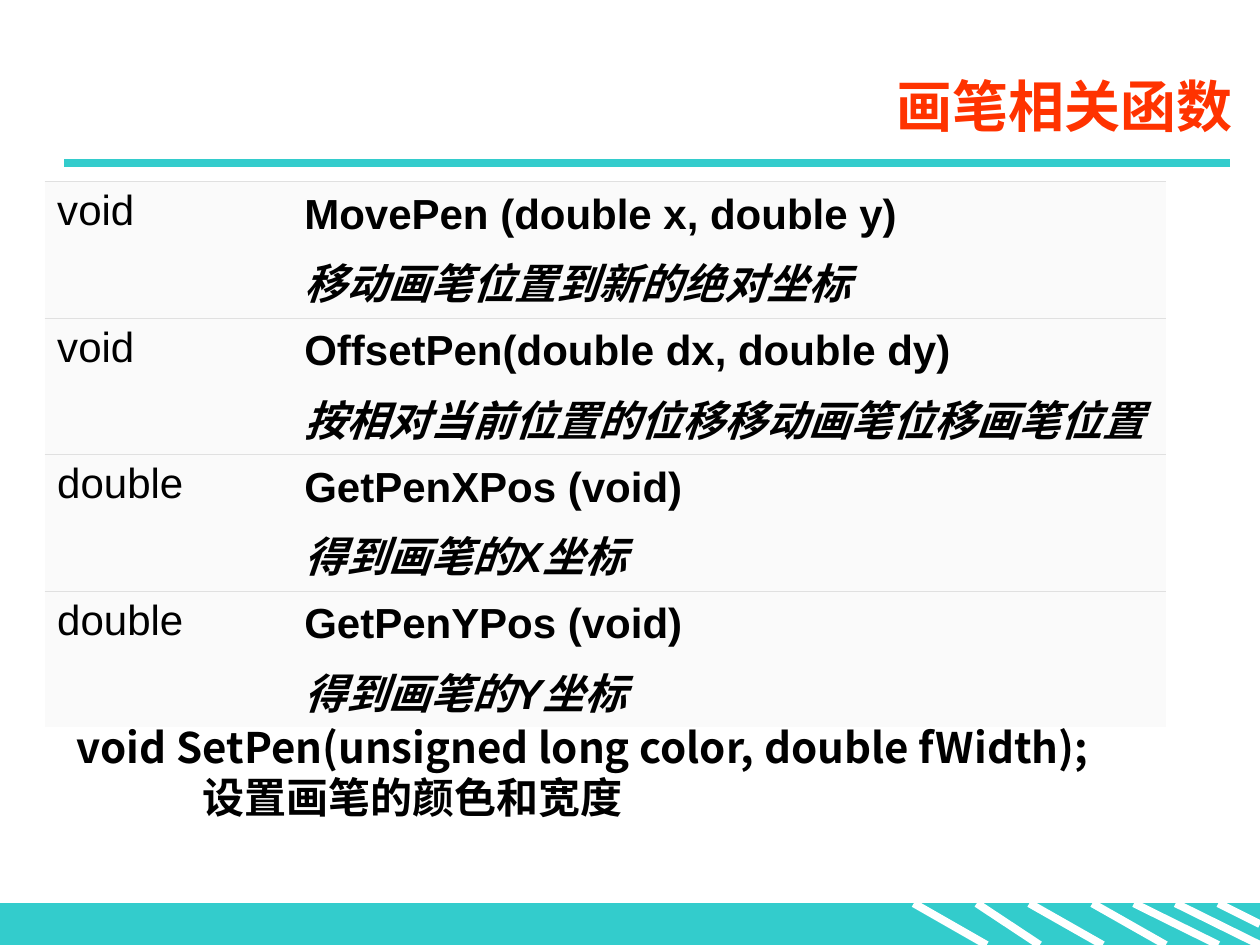
from lxml.etree import SubElement
from pptx import Presentation
from pptx.dml.color import RGBColor
from pptx.enum.shapes import MSO_CONNECTOR as Connector, MSO_SHAPE as Shape
from pptx.enum.text import MSO_ANCHOR as Anchor, PP_ALIGN as Align
from pptx.oxml import parse_xml
from pptx.oxml.ns import nsdecls, qn
from pptx.util import Cm, Pt

TEAL = RGBColor(0x33, 0xCC, 0xCC)
WHITE = RGBColor(0xFF, 0xFF, 0xFF)
BLACK = RGBColor(0x00, 0x00, 0x00)
ORANGE = RGBColor(0xFF, 0x33, 0x00)
CELL_FILL = RGBColor(0xFA, 0xFA, 0xFA)
RULE_GREY = RGBColor(0xE0, 0xE0, 0xE0)
LATIN = "Arial"
CHINESE = "Noto Sans CJK SC"

FUNCTIONS = [
    ("void", "MovePen (double x, double y)", "移动画笔位置到新的绝对坐标"),
    ("void", "OffsetPen(double dx, double dy)", "按相对当前位置的位移移动画笔位移画笔位置"),
    ("double", "GetPenXPos (void)", "得到画笔的X坐标"),
    ("double", "GetPenYPos (void)", "得到画笔的Y坐标"),
]
STRIPES = [
    (18.42, 19.89, 0.84),
    (19.69, 20.96, 0.84),
    (20.75, 22.23, 0.84),
    (22.02, 23.5, 0.84),
    (22.86, 24.56, 0.84),
    (23.7, 25.4, 0.84),
    (24.56, 25.4, 0.42),
]


def style_paragraph(paragraph, text, size=24, name=LATIN, color=BLACK, bold=False, italic=False):
    paragraph.text = text
    font = paragraph.font
    font.size = Pt(size)
    font.name = name
    font.bold = bold
    font.italic = italic
    font.color.rgb = color
    defaults = paragraph._p.pPr.find(qn("a:defRPr"))
    SubElement(defaults, qn("a:ea"), typeface=CHINESE)


def add_line(slide, start, end, color):
    line = slide.shapes.add_connector(Connector.STRAIGHT, *map(Cm, start + end))
    line.line.color.rgb = color
    line.line.width = Pt(4.5)
    SubElement(line._element.spPr, qn("a:effectLst"))


def add_text_frame(slide, box):
    frame = slide.shapes.add_textbox(*map(Cm, box)).text_frame
    frame.word_wrap = True
    return frame


def add_footer(slide, box):
    left, top, _, _ = box
    band = slide.shapes.add_shape(Shape.RECTANGLE, *map(Cm, box))
    band.shadow.inherit = False
    band.fill.solid()
    band.fill.fore_color.rgb = TEAL
    band.line.color.rgb = TEAL
    band.line.width = Pt(0.75)
    for start, end, drop in STRIPES:
        add_line(slide, (left + start, top), (left + end, top + drop), WHITE)


def add_header(slide, box):
    left, top, width, height = box
    rule_top = top + height + 0.15
    add_line(slide, (left, rule_top), (left + width, rule_top), TEAL)
    frame = add_text_frame(slide, (left + 2.21, top, width - 1.91, height))
    frame.vertical_anchor = Anchor.MIDDLE
    paragraph = frame.paragraphs[0]
    paragraph.alignment = Align.RIGHT
    style_paragraph(paragraph, "画笔相关函数", size=32, color=ORANGE, bold=True)


def format_cell(cell, ruled_top, ruled_bottom):
    cell.fill.solid()
    cell.fill.fore_color.rgb = CELL_FILL
    sides = [("lnL", False), ("lnR", False), ("lnT", ruled_top), ("lnB", ruled_bottom)]
    for position, (side, ruled) in enumerate(sides):
        paint = f'<a:solidFill><a:srgbClr val="{RULE_GREY}"/></a:solidFill>' if ruled else "<a:noFill/>"
        border = parse_xml(f'<a:{side} {nsdecls("a")} w="{Pt(0.45)}">{paint}</a:{side}>')
        cell._tc.tcPr.insert(position, border)


def add_function_table(slide, box, type_width):
    _, _, width, _ = box
    row_count = 2 * len(FUNCTIONS)
    table = slide.shapes.add_table(row_count, 2, *map(Cm, box)).table
    table.first_row = False
    table.horz_banding = False
    table.columns[0].width = Cm(type_width)
    table.columns[1].width = Cm(width - type_width)
    for index, (return_type, signature, description) in enumerate(FUNCTIONS):
        upper, lower = 2 * index, 2 * index + 1
        table.rows[upper].height = Cm(1.27)
        table.rows[lower].height = Cm(1.48)
        for column in range(2):
            format_cell(table.cell(upper, column), True, False)
            format_cell(table.cell(lower, column), False, lower < row_count - 1)
        name_cell, description_cell = table.cell(upper, 1), table.cell(lower, 1)
        name_cell.vertical_anchor = Anchor.BOTTOM
        description_cell.vertical_anchor = Anchor.MIDDLE
        style_paragraph(table.cell(upper, 0).text_frame.paragraphs[0], return_type)
        style_paragraph(name_cell.text_frame.paragraphs[0], signature, bold=True)
        style_paragraph(description_cell.text_frame.paragraphs[0], description, bold=True, italic=True)


def add_set_pen(slide, box):
    frame = add_text_frame(slide, box)
    signature, description = frame.paragraphs[0], frame.add_paragraph()
    description._p.get_or_add_pPr().set("marL", str(Cm(2.54)))
    texts = ["void SetPen(unsigned long color, double fWidth);", "设置画笔的颜色和宽度"]
    for paragraph, text in zip([signature, description], texts):
        paragraph.line_spacing = Pt(28.8)
        style_paragraph(paragraph, text, name=CHINESE, bold=True)


def main():
    presentation = Presentation()
    presentation.slide_width = Cm(25.4)
    presentation.slide_height = Cm(19.05)
    slide = presentation.slides.add_slide(presentation.slide_layouts[6])
    add_footer(slide, (0, 18.21, 25.4, 0.84))
    add_header(slide, (1.3, 1.12, 23.5, 2.01))
    add_function_table(slide, (0.9, 3.66, 22.6, 11), 4.98)
    add_set_pen(slide, (1.3, 14.42, 22.2, 2.29))
    presentation.save("out.pptx")


if __name__ == "__main__":
    main()
